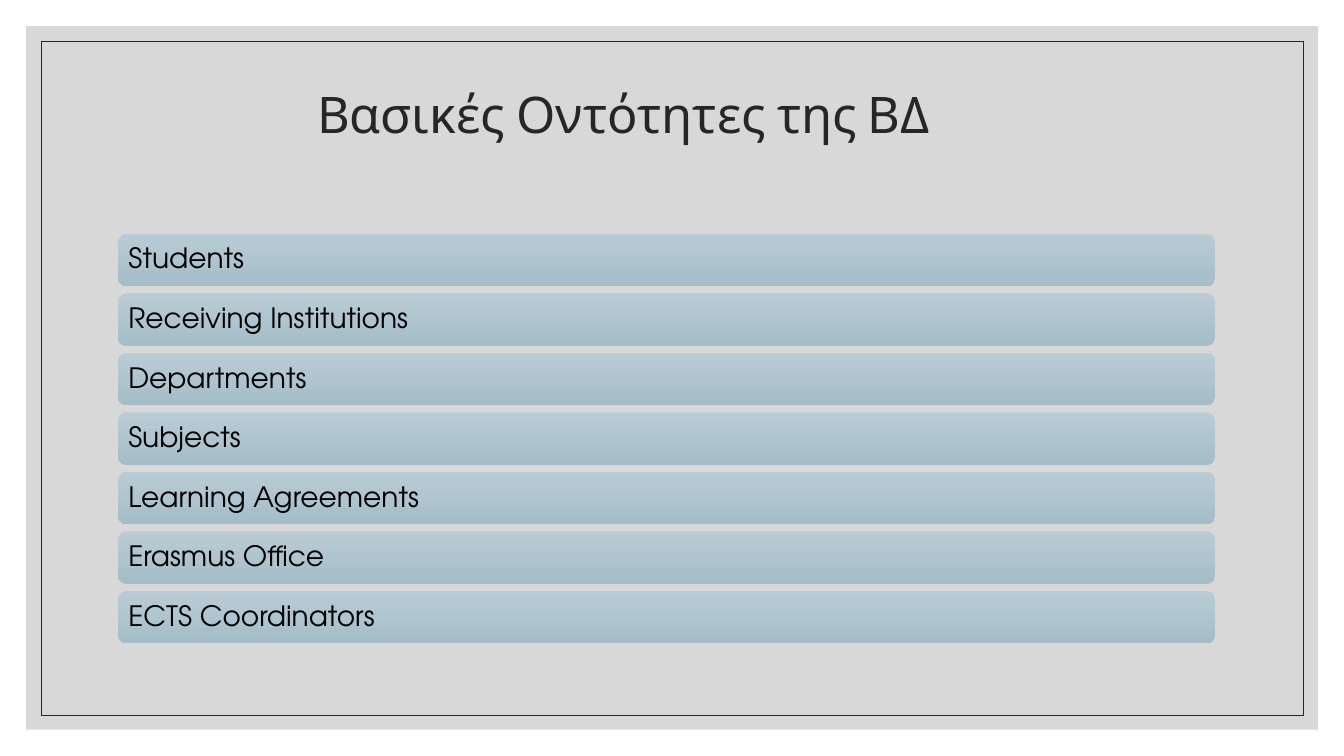
from dataclasses import dataclass

from pptx import Presentation
from pptx.dml.color import RGBColor as RGB
from pptx.enum.shapes import MSO_SHAPE as SHAPE
from pptx.enum.text import MSO_ANCHOR as ANCHOR, PP_ALIGN as ALIGN
from pptx.oxml.ns import qn
from pptx.util import Cm, Pt


@dataclass(frozen=True)
class Theme:
    panel: RGB = RGB(0xBF, 0xBF, 0xBF)
    panel_opacity: int = 60
    ink: RGB = RGB(0x26, 0x26, 0x26)
    bar_top: RGB = RGB(0xB9, 0xCC, 0xD5)
    bar_bottom: RGB = RGB(0xA5, 0xBD, 0xC8)
    bar_text: RGB = RGB(0, 0, 0)
    title_font: str = "Cabin"
    bar_font: str = "TeX Gyre Adventor"
    title_size: Pt = Pt(36)
    bar_size: Pt = Pt(20)
    frame_width: Pt = Pt(0.5)


THEME = Theme()
TITLE = "Βασικές Οντότητες της ΒΔ"
ENTITIES = ["Students", "Receiving Institutions", "Departments", "Subjects",
            "Learning Agreements", "Erasmus Office", "ECTS Coordinators"]

# Layout in centimetres
LEFT = 2.97
BARS_TOP, BAR_WIDTH, BAR_HEIGHT, BAR_PITCH = 5.89, 27.66, 1.32, 1.5


def add_block(slide, kind, left, top, width, height):
    block = slide.shapes.add_shape(kind, Cm(left), Cm(top), Cm(width), Cm(height))
    block.shadow.inherit = False
    return block


def style_paragraph(paragraph, font_name, size, color, align):
    paragraph.alignment = align
    paragraph.line_spacing = 0.9
    font = paragraph.font
    font.name, font.size = font_name, size
    font.color.rgb = color


def add_backdrop(slide):
    # Translucent grey panel
    panel = add_block(slide, SHAPE.RECTANGLE, 0.66, 0.66, 32.56, 17.73)
    panel.fill.solid()
    panel.fill.fore_color.rgb = THEME.panel
    panel.line.fill.background()
    tint = panel.fill._xPr.find(".//" + qn("a:srgbClr"))
    alpha = tint.makeelement(qn("a:alpha"), {"val": str(THEME.panel_opacity * 1000)})
    tint.append(alpha)

    # Thin inner frame
    frame = add_block(slide, SHAPE.RECTANGLE, 1.04, 1.04, 31.8, 16.99)
    frame.fill.background()
    frame.line.color.rgb = THEME.ink
    frame.line.width = THEME.frame_width


def set_title(slide, text):
    title = slide.shapes.title
    title.left, title.top, title.width, title.height = (
        Cm(LEFT), Cm(1.78), Cm(25.5), Cm(2.36))
    title.text = text
    title.text_frame.vertical_anchor = ANCHOR.MIDDLE
    style_paragraph(title.text_frame.paragraphs[0], THEME.title_font,
                    THEME.title_size, THEME.ink, ALIGN.CENTER)
    # Bring the title in front of the backdrop
    slide.shapes._spTree.append(title._element)


def add_entity_bar(slide, entity, top):
    bar = add_block(slide, SHAPE.ROUNDED_RECTANGLE, LEFT, top, BAR_WIDTH, BAR_HEIGHT)
    bar.line.fill.background()
    bar.fill.gradient()
    bar.fill.gradient_angle = 270
    for stop, color in zip(bar.fill.gradient_stops, (THEME.bar_top, THEME.bar_bottom)):
        stop.color.rgb = color

    label = bar.text_frame
    label.text = entity
    label.word_wrap = True
    label.vertical_anchor = ANCHOR.MIDDLE
    label.margin_left = label.margin_right = Cm(0.2)
    label.margin_top = label.margin_bottom = Cm(0.2)
    style_paragraph(label.paragraphs[0], THEME.bar_font, THEME.bar_size,
                    THEME.bar_text, ALIGN.LEFT)


def main():
    deck = Presentation()
    deck.slide_width, deck.slide_height = Cm(33.87), Cm(19.05)
    slide = deck.slides.add_slide(deck.slide_layouts.get_by_name("Title Only"))

    add_backdrop(slide)
    set_title(slide, TITLE)
    for row, entity in enumerate(ENTITIES):
        add_entity_bar(slide, entity, BARS_TOP + row * BAR_PITCH)

    deck.save("out.pptx")


main()
